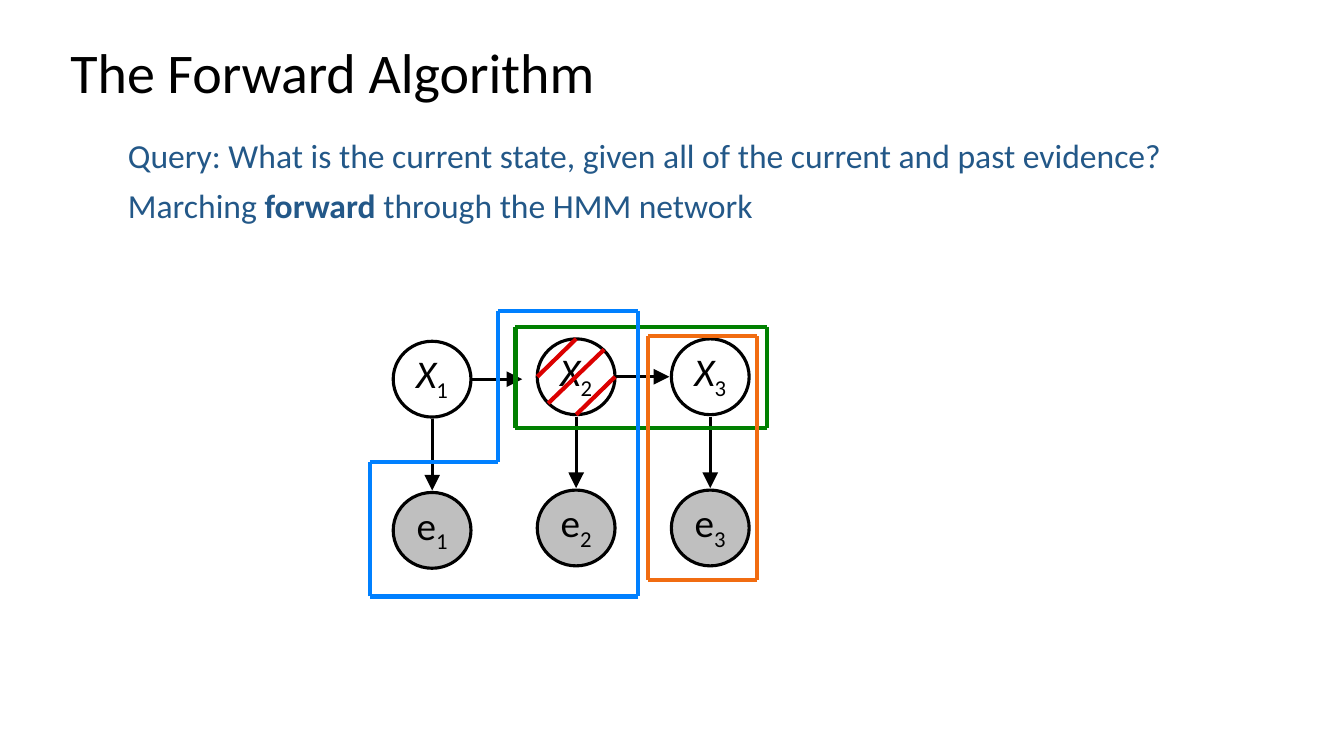
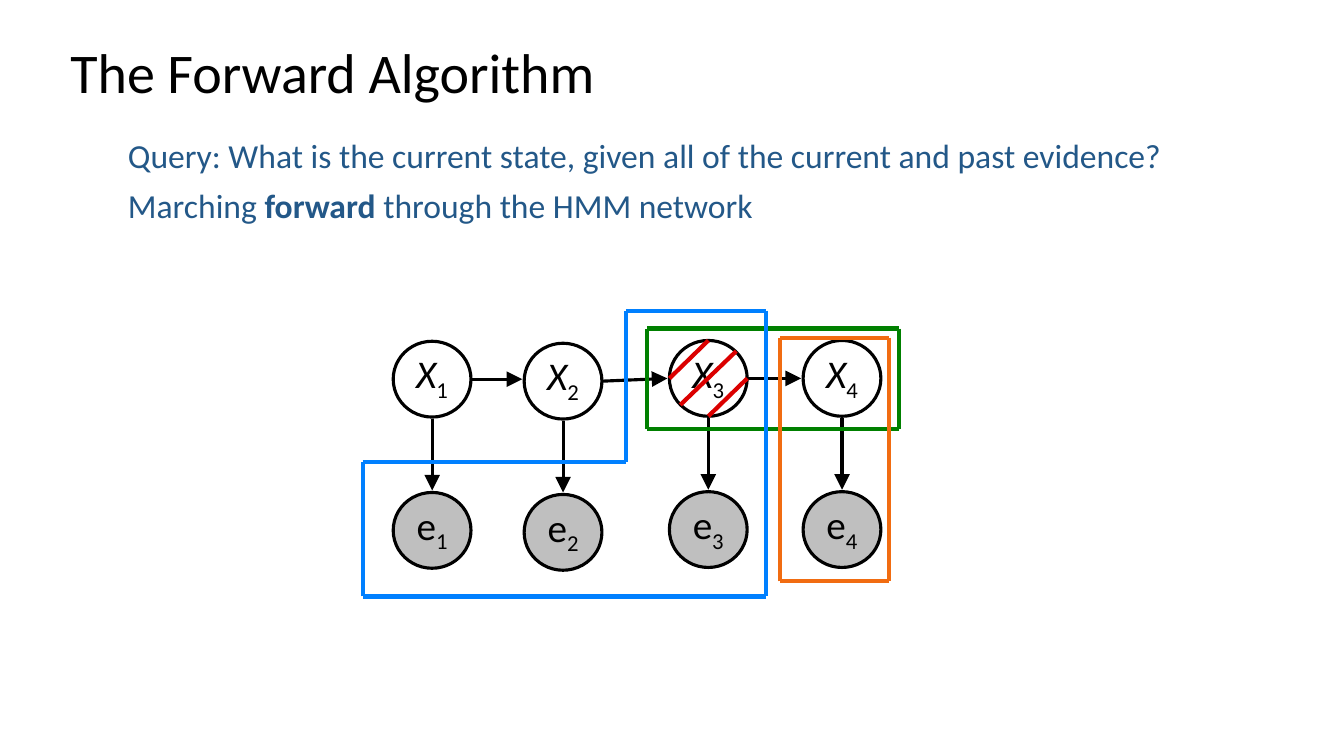
import dataclasses

import pptx
import pptx.dml.color
import pptx.enum.shapes
import pptx.enum.text
import pptx.oxml.ns
import pptx.util
from lxml import etree

Cm = pptx.util.Cm
Pt = pptx.util.Pt
RGBColor = pptx.dml.color.RGBColor
SHAPE = pptx.enum.shapes.MSO_SHAPE
ALIGN = pptx.enum.text.PP_ALIGN
ANCHOR = pptx.enum.text.MSO_ANCHOR
qn = pptx.oxml.ns.qn

BLACK = RGBColor(0x00, 0x00, 0x00)
WHITE = RGBColor(0xFF, 0xFF, 0xFF)
GREY = RGBColor(0xBF, 0xBF, 0xBF)
NAVY = RGBColor(0x23, 0x58, 0x88)
RED = RGBColor(0xDB, 0x00, 0x00)
GREEN = RGBColor(0x00, 0x80, 0x00)
ORANGE = RGBColor(0xF1, 0x6C, 0x11)
BLUE = RGBColor(0x00, 0x80, 0xFF)

FONT = "Calibri"
THIN, THICK = 2.25, 3
NODE_WIDTH, NODE_HEIGHT = 1.96, 1.91
EVIDENCE_DROP = 3.81  # from a state's top to its evidence's top
ARROW_GAP = 0.05

TITLE = "The Forward Algorithm"
BODY = [
    [("Query: What is the current state, given all of the current and past evidence?", {})],
    [("Marching ", {}), ("forward", {"bold": True}), (" through the HMM network", {})],
]


@dataclasses.dataclass
class Network:
    """Lengths in cm, measured from the corner of the network's box."""
    states: list  # centre x and top y of each state
    first_arrow_end: float
    past_left: float  # sides of the past-evidence outline
    past_right: float


NETWORKS = [
    Network([(1.89, 0.77), (5.52, 0.71), (8.9, 0.71)], 4.16, 0.32, 7.08),
    Network([(1.89, 0.77), (5.19, 0.82), (8.85, 0.75), (12.22, 0.75)], 4.16, 0.14, 10.3),
]


def write_text(box, paragraphs, size, color, align=ALIGN.LEFT, line_spacing=None,
               space_before=0, anchor=ANCHOR.TOP, wrap=True):
    """Fill a box with paragraphs, each a list of (text, font options)."""
    frame = box.text_frame
    frame.word_wrap = wrap
    frame.auto_size = pptx.enum.text.MSO_AUTO_SIZE.NONE
    frame.vertical_anchor = anchor
    for index, spans in enumerate(paragraphs):
        para = frame.add_paragraph() if index else frame.paragraphs[0]
        para.alignment = align
        para.space_before = Pt(space_before if index else 0)
        if line_spacing:
            para.line_spacing = line_spacing
        for text, options in spans:
            span = para.add_run()
            span.text = text
            span.font.name = FONT
            span.font.size = Pt(size)
            span.font.color.rgb = color
            span.font.bold = options.get("bold", False)
            span.font.italic = options.get("italic", False)
            if "baseline" in options:
                span.font._element.set("baseline", str(options["baseline"]))


def place(box, left, top, width, height):
    box.left, box.top, box.width, box.height = Cm(left), Cm(top), Cm(width), Cm(height)


def add_heading(page):
    title, body = page.shapes.title, page.placeholders[1]
    place(title, 1.52, 1.02, 29.21, 1.75)
    write_text(title, [[(TITLE, {})]], 40, BLACK, line_spacing=0.9, anchor=ANCHOR.MIDDLE)
    place(body, 2.97, 3.38, 28.14, 2.97)
    write_text(body, BODY, 24, NAVY, line_spacing=0.9, space_before=10)
    for para in body.text_frame.paragraphs:
        properties = para._p.get_or_add_pPr()
        properties.set("marL", "0")
        properties.set("indent", "0")
        etree.SubElement(properties, qn("a:buNone"))


def add_line(parent, start, end, color, width, arrow=False):
    """Draw a straight line on a page or in a group."""
    line = parent.shapes.add_connector(
        pptx.enum.shapes.MSO_CONNECTOR.STRAIGHT, *map(Cm, (*start, *end)))
    line.line.color.rgb = color
    line.line.width = Pt(width)
    if arrow:
        etree.SubElement(line.line._get_or_add_ln(), qn("a:tailEnd"),
                         type="triangle", w="lg", len="lg")
    etree.SubElement(line._element.spPr, qn("a:effectLst"))


def add_node(page, centre, top, letter, number, fill, italic=False):
    node = page.shapes.add_shape(
        SHAPE.OVAL, Cm(centre - NODE_WIDTH / 2), Cm(top), Cm(NODE_WIDTH), Cm(NODE_HEIGHT))
    node.shadow.inherit = False
    node.line.color.rgb = BLACK
    node.line.width = Pt(THIN)
    node.fill.solid()
    node.fill.fore_color.rgb = fill
    frame = node.text_frame
    frame.margin_left = frame.margin_right = Cm(0.25)
    frame.margin_top, frame.margin_bottom = Cm(0), Cm(0.13)
    label = [(letter, {"italic": italic}), (str(number), {"baseline": -25000})]
    write_text(node, [label], 28, BLACK, align=ALIGN.CENTER, anchor=ANCHOR.MIDDLE, wrap=False)


def add_column(page, centre, top, number):
    """A state, its evidence and the arrow between them."""
    evidence_top = top + EVIDENCE_DROP
    add_node(page, centre, top, "X", number, WHITE, italic=True)
    add_node(page, centre, evidence_top, "e", number, GREY)
    add_line(page, (centre, top + NODE_HEIGHT + ARROW_GAP),
             (centre, evidence_top - ARROW_GAP), BLACK, THIN, arrow=True)


def strike_out(page, centre, top):
    """Three diagonal strokes, as fractions of the node's box."""
    group = page.shapes.add_group_shape()
    left = centre - NODE_WIDTH / 2
    for x1, y1, x2, y2 in [(0, 0.5, 0.5, 0), (0.14, 0.85, 0.86, 0.14), (0.5, 1, 1, 0.5)]:
        add_line(group, (left + x1 * NODE_WIDTH, top + y1 * NODE_HEIGHT),
                 (left + x2 * NODE_WIDTH, top + y2 * NODE_HEIGHT), RED, THICK)


def add_outline(page, corners, color):
    """Closed outline of grouped lines through the corners."""
    group = page.shapes.add_group_shape()
    for start, end in zip(corners, corners[1:] + corners[:1]):
        add_line(group, start, end, color, THICK)


def add_frame(page, left, top, width, height, color):
    right, bottom = left + width, top + height
    add_outline(page, [(left, top), (right, top), (right, bottom), (left, bottom)], color)


def add_past_outline(page, left, right, top):
    """L-shaped outline round the past evidence and the struck state."""
    step, shoulder, bottom = right - 3.53, top + 3.81, top + 7.2
    add_outline(page, [(left, shoulder), (step, shoulder), (step, top),
                       (right, top), (right, bottom), (left, bottom)], BLUE)


def add_network(page, network, left, top):
    states = [(left + x, top + y) for x, y in network.states]

    # Transitions between neighbouring states; the first one is level
    for index, (source, target) in enumerate(zip(states, states[1:])):
        start_y = source[1] + NODE_HEIGHT / 2
        if index == 0:
            end = (left + network.first_arrow_end, start_y)
        else:
            end = (target[0] - NODE_WIDTH / 2 - ARROW_GAP, target[1] + NODE_HEIGHT / 2)
        add_line(page, (source[0] + NODE_WIDTH / 2, start_y), end, BLACK, THIN, arrow=True)

    # States with their evidence
    for number, (centre, state_top) in enumerate(states, start=1):
        add_column(page, centre, state_top, number)
    strike_out(page, *states[-2])

    # Outlines of the current step and the past evidence
    centre, state_top = states[-1]
    add_frame(page, centre - 4.91, state_top - 0.3, 6.35, 2.54, GREEN)
    add_frame(page, centre - 1.56, state_top - 0.07, 2.74, 6.14, ORANGE)
    add_past_outline(page, left + network.past_left, left + network.past_right, top)


def main():
    deck = pptx.Presentation()
    deck.slide_width, deck.slide_height = Cm(33.87), Cm(19.05)
    for network in NETWORKS:
        page = deck.slides.add_slide(deck.slide_layouts[1])
        add_heading(page)
        add_network(page, network, left=9, top=7.83)
    deck.save("out.pptx")


if __name__ == "__main__":
    main()
